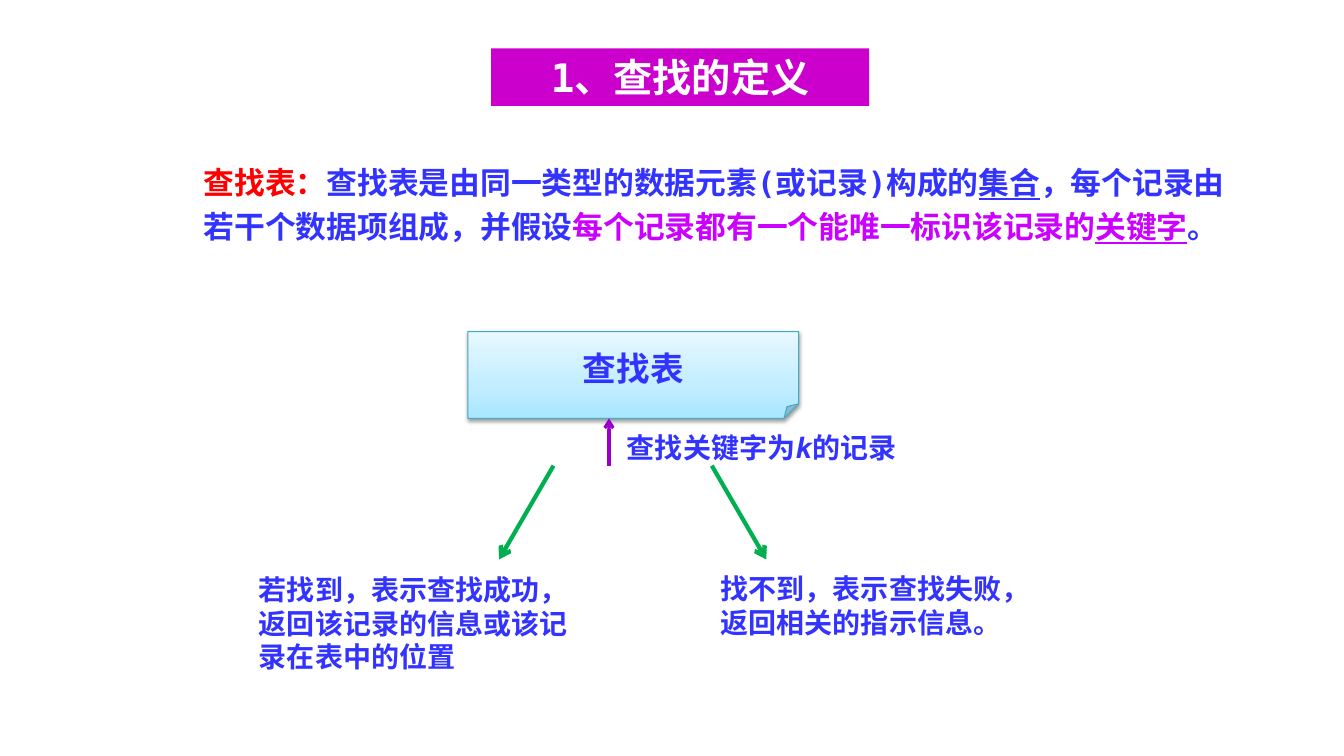
from lxml import etree
from pptx import Presentation
from pptx.dml.color import RGBColor
from pptx.enum.shapes import MSO_CONNECTOR, MSO_SHAPE
from pptx.enum.text import MSO_ANCHOR, PP_ALIGN
from pptx.oxml import parse_xml
from pptx.oxml.ns import nsdecls, qn
from pptx.util import Inches, Pt

RECT, FOLDED = MSO_SHAPE.RECTANGLE, MSO_SHAPE.FOLDED_CORNER
STRAIGHT = MSO_CONNECTOR.STRAIGHT
TOP, MIDDLE = MSO_ANCHOR.TOP, MSO_ANCHOR.MIDDLE
LEFT, CENTER = PP_ALIGN.LEFT, PP_ALIGN.CENTER

THEME = {
    "font": "DejaVu Sans Mono",
    "blue": "3333FF", "red": "FF0000", "violet": "CC00FF", "white": "FFFFFF",
    "banner": "CC00CC", "purple": "9900CC", "green": "00B050", "edge": "46AAC5",
    "gradient": [(0, "A7E6FF"), (35, "C1EDFF"), (100, "E7F8FF")],
    "title": 28, "table": 24, "definition": 22, "note": 20,
}


def rgb(name):
    return RGBColor.from_string(THEME[name])


def write(sp, runs, size, align=LEFT, anchor=TOP, spacing=1.0):
    tf = sp.text_frame
    tf.word_wrap = True
    tf.vertical_anchor = anchor
    p = tf.paragraphs[0]
    p.alignment = align
    p.line_spacing = spacing
    for text, color, extra in runs:
        r = p.add_run()
        r.text = text
        style = {"name": THEME["font"], "size": Pt(THEME[size]), "bold": True, **extra}
        for key, value in style.items():
            setattr(r.font, key, value)
        r.font.color.rgb = rgb(color)


prs = Presentation()
prs.slide_width, prs.slide_height = Inches(13.33), Inches(7.5)
s = prs.slides.add_slide(prs.slide_layouts[6])

banner = s.shapes.add_shape(RECT, Inches(4.87), Inches(0.48), Inches(3.75), Inches(0.57))
banner.shadow.inherit = False
banner.fill.solid()
banner.fill.fore_color.rgb = rgb("banner")
banner.line.fill.background()
write(banner, [("1、查找的定义", "white", {})], "title", CENTER)

search_table = s.shapes.add_shape(FOLDED, Inches(4.64), Inches(3.29), Inches(3.28), Inches(0.86))
search_table.line.color.rgb = rgb("edge")
search_table.line.width = Pt(0.75)
stops = "".join(
    f'<a:gs pos="{pos * 1000}"><a:srgbClr val="{color}"/></a:gs>'
    for pos, color in THEME["gradient"]
)
spPr = search_table._element.spPr
spPr.find(qn("a:prstGeom")).addnext(parse_xml(
    f'<a:gradFill {nsdecls("a")} rotWithShape="1"><a:gsLst>{stops}</a:gsLst>'
    '<a:lin ang="16200000" scaled="1"/></a:gradFill>'
))
spPr.append(parse_xml(
    f'<a:effectLst {nsdecls("a")}>'
    f'<a:outerShdw blurRad="{Pt(3.1)}" dist="{Pt(1.6)}" dir="5400000" rotWithShape="0">'
    '<a:srgbClr val="000000"><a:alpha val="38000"/></a:srgbClr>'
    '</a:outerShdw></a:effectLst>'
))
write(search_table, [("查找表", "blue", {})], "table", CENTER, MIDDLE)

definition = [
    ("查找表：", "red", {}),
    ("查找表是由同一类型的数据元素(或记录)构成的", "blue", {}),
    ("集合", "blue", {"underline": True}),
    ("，每个记录由若干个数据项组成，并假设", "blue", {}),
    ("每个记录都有一个能唯一标识该记录的", "violet", {}),
    ("关键字", "violet", {"underline": True}),
    ("。", "blue", {}),
]
query = [
    ("查找关键字为", "blue", {}),
    ("k", "blue", {"italic": True}),
    ("的记录", "blue", {}),
]
found = [("若找到，表示查找成功，返回该记录的信息或该记录在表中的位置", "blue", {})]
missing = [("找不到，表示查找失败，返回相关的指示信息。", "blue", {})]

for box, runs, size, spacing in [
    ((1.92, 1.5, 10.38, 0.95), definition, "definition", 1.2),
    ((6.12, 4.22, 3.2, 0.44), query, "note", 1.0),
    ((2.47, 5.63, 3.44, 1.11), found, "note", 1.0),
    ((7.05, 5.62, 3.11, 0.77), missing, "note", 1.0),
]:
    sp = s.shapes.add_textbox(*map(Inches, box))
    write(sp, runs, size, spacing=spacing)

for ends, color, width in [
    ((6.04, 4.62, 6.04, 4.15), "purple", 2.25),
    ((5.49, 4.62, 4.95, 5.55), "green", 3),
    ((7.06, 4.62, 7.6, 5.55), "green", 3),
]:
    arrow = s.shapes.add_connector(STRAIGHT, *map(Inches, ends))
    arrow.line.color.rgb = rgb(color)
    arrow.line.width = Pt(width)
    etree.SubElement(arrow.line._get_or_add_ln(), qn("a:tailEnd"), type="arrow")
    etree.SubElement(arrow._element.spPr, qn("a:effectLst"))

prs.save("out.pptx")
